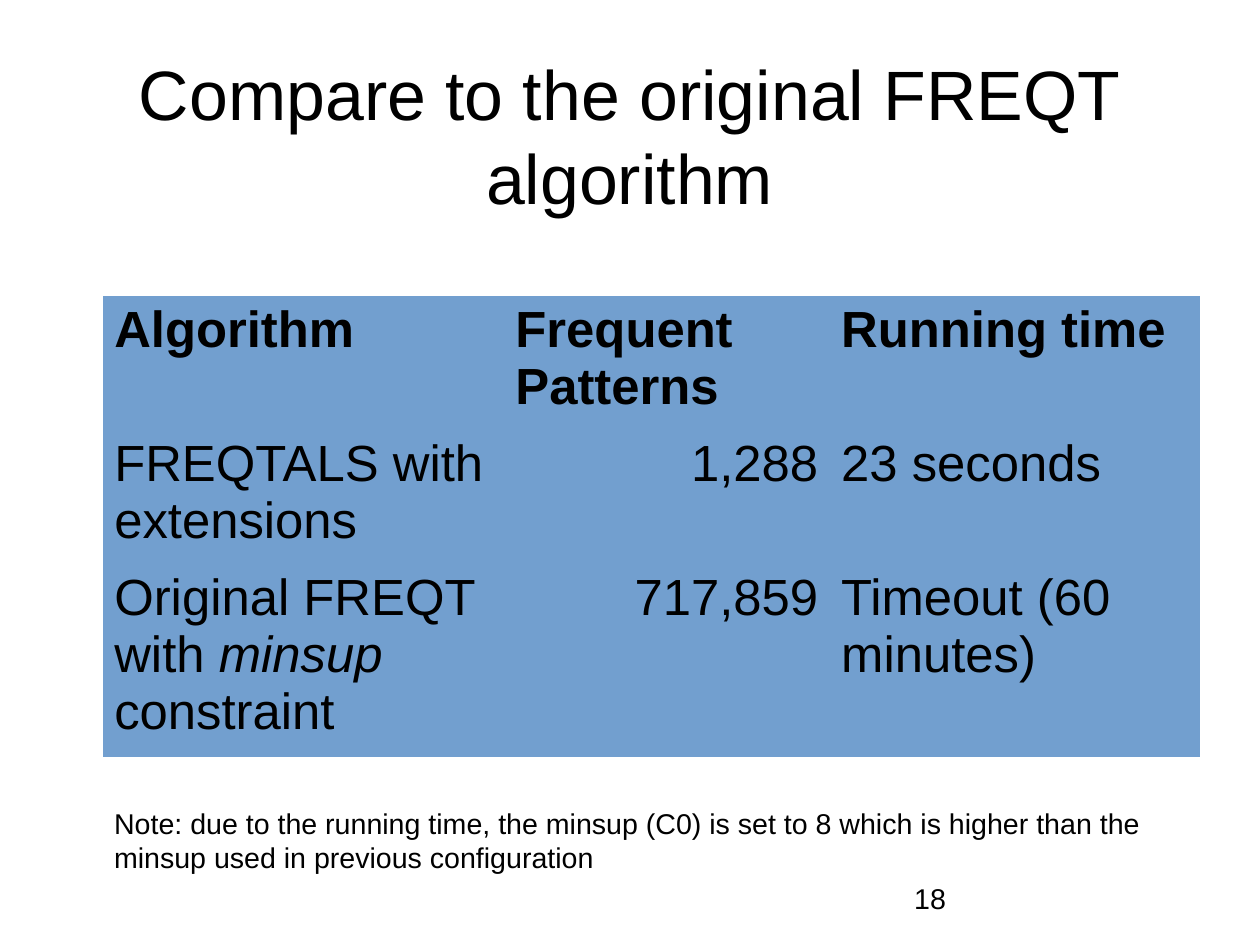
from pptx import Presentation
from pptx.dml.color import RGBColor
from pptx.enum.text import MSO_ANCHOR, PP_ALIGN
from pptx.oxml.ns import qn
from pptx.util import Cm, Inches, Pt

COLORS = {"text": "000000", "cell": "729FCF", "page": "FFFFFF"}
FONT = "Arial"
NO_STYLE = "{2D5ABB26-0587-4C30-8999-92F81FD0307C}"

COLS = [3.51, 2.85, 3.24]
ROWS = [1.17, 1.17, 1.69]
# Each cell is a list of paragraphs, each paragraph a list of runs
RESULTS = [
    [[["Algorithm"]], [["Frequent Patterns"]], [["Running time"]]],
    [[["FREQTALS with extensions"]], [["1,288"]], [["23 seconds"]]],
    [[["Original FREQT"], ["with ", "minsup", " constraint"]],
     [["717,859"]], [["Timeout (60 minutes)"]]],
]
ITALIC = {"minsup"}


def add_run(p, text, size, bold=False, italic=False):
    r = p.add_run()
    r.text = text
    r.font.name = FONT
    r.font.size = Pt(size)
    r.font.bold = bold
    r.font.italic = italic
    r.font.color.rgb = RGBColor.from_string(COLORS["text"])


def set_margins(tf, x, y):
    tf.margin_left = tf.margin_right = Inches(x)
    tf.margin_top = tf.margin_bottom = Inches(y)


def add_title(s, box, text):
    sp = s.shapes.title
    sp.left, sp.top, sp.width, sp.height = map(Inches, box)
    tf = sp.text_frame
    set_margins(tf, 0, 0)
    tf.word_wrap = True
    tf.vertical_anchor = MSO_ANCHOR.MIDDLE
    p = tf.paragraphs[0]
    p.alignment = PP_ALIGN.CENTER
    add_run(p, text, 44)


def fill_cell(cell, paragraphs, header, number):
    cell.fill.solid()
    cell.fill.fore_color.rgb = RGBColor.from_string(COLORS["cell"])
    set_margins(cell, 0.1, 0.05)
    tf = cell.text_frame
    for i, runs in enumerate(paragraphs):
        p = tf.add_paragraph() if i else tf.paragraphs[0]
        p.alignment = PP_ALIGN.RIGHT if number else PP_ALIGN.LEFT
        for text in runs:
            add_run(p, text, 32, header, text in ITALIC)


def add_results(s, left, top):
    box = map(Inches, (left, top, sum(COLS), sum(ROWS)))
    table = s.shapes.add_table(len(ROWS), len(COLS), *box).table
    # Plain table: no banding, no grid
    table.first_row = table.horz_banding = False
    table._tbl.tblPr.find(qn("a:tableStyleId")).text = NO_STYLE
    for col, width in zip(table.columns, COLS):
        col.width = Inches(width)
    for i, (row, height) in enumerate(zip(table.rows, ROWS)):
        row.height = Inches(height)
        for j, cell in enumerate(row.cells):
            fill_cell(cell, RESULTS[i][j], header=i == 0, number=i > 0 and j == 1)


def add_text(s, box, text):
    tf = s.shapes.add_textbox(*map(Inches, box)).text_frame
    tf.word_wrap = True
    set_margins(tf, 0.1, 0.05)
    add_run(tf.paragraphs[0], text, 18)


def main():
    prs = Presentation()
    prs.slide_width, prs.slide_height = Cm(28), Cm(21)
    s = prs.slides.add_slide(prs.slide_layouts[5])
    s.background.fill.solid()
    s.background.fill.fore_color.rgb = RGBColor.from_string(COLORS["page"])

    add_title(s, (0.55, 0.33, 9.92, 1.7), "Compare to the original FREQT algorithm")
    add_results(s, 0.9, 2.59)
    # Note and page number
    add_text(s, (0.9, 7, 9.5, 0.66),
             "Note: due to the running time, the minsup (C0) is set to 8 which is "
             "higher than the minsup used in previous configuration")
    add_text(s, (7.9, 7.66, 2.57, 0.44), "18")
    prs.save("out.pptx")


if __name__ == "__main__":
    main()
